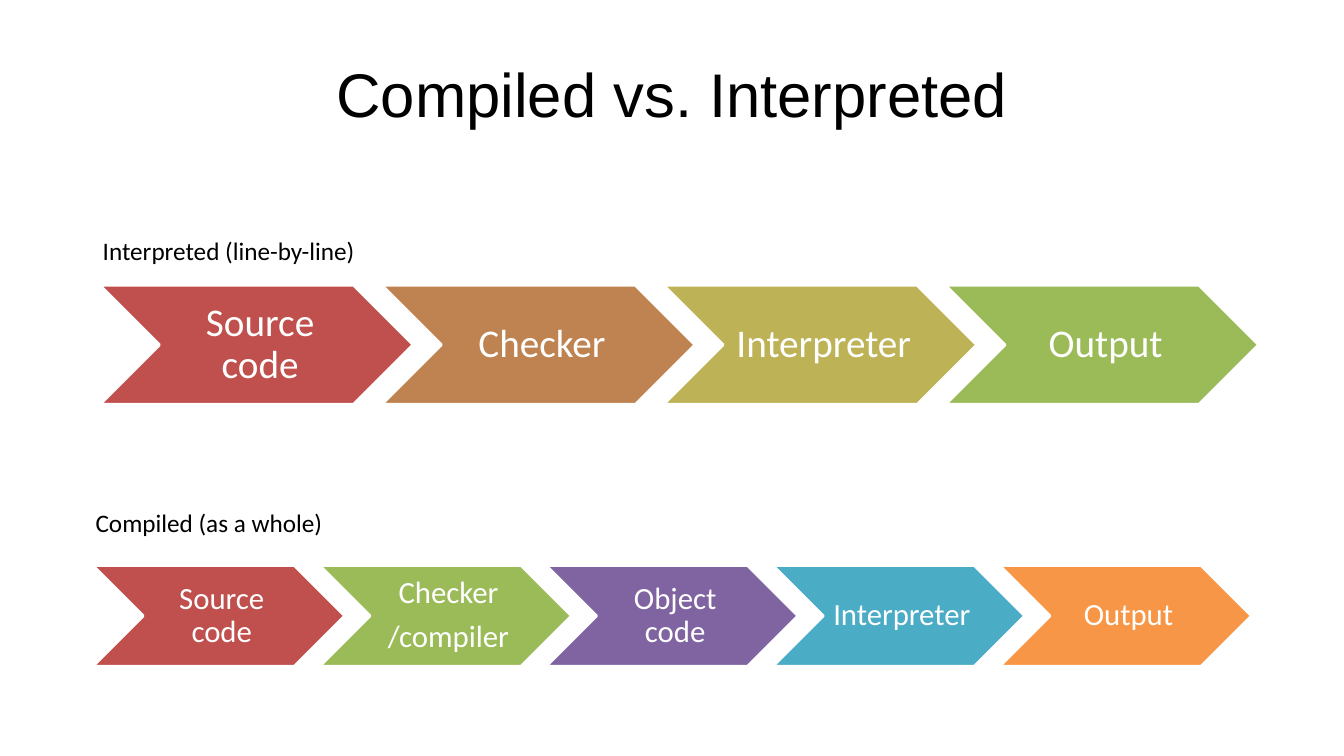
from pptx import Presentation
from pptx.dml.color import RGBColor
from pptx.enum.shapes import MSO_SHAPE as Preset
from pptx.enum.text import MSO_ANCHOR as Anchor, PP_ALIGN as Align
from pptx.util import Cm, Pt


def color(hex_string):
    return RGBColor.from_string(hex_string)


def write(shape, text, size, font="Calibri", fill="000000", align=Align.LEFT,
          anchor=Anchor.TOP, insets=(0.25, 0.13, 0.25, 0.13), wrap=True,
          line_spacing=1.0, space_after=0):
    """Put text into a shape, one paragraph for each line; insets in cm."""
    frame = shape.text_frame
    frame.word_wrap = wrap
    frame.vertical_anchor = anchor
    (frame.margin_left, frame.margin_top,
     frame.margin_right, frame.margin_bottom) = map(Cm, insets)
    for index, line in enumerate(text.split("\n")):
        paragraph = frame.paragraphs[0] if index == 0 else frame.add_paragraph()
        paragraph.alignment = align
        paragraph.line_spacing = line_spacing
        paragraph.space_after = Pt(space_after)
        run = paragraph.add_run()
        run.text = line
        run.font.name = font
        run.font.size = Pt(size)
        run.font.color.rgb = color(fill)


def add_text(slide, left, top, width, height, text, **text_format):
    box = slide.shapes.add_textbox(Cm(left), Cm(top), Cm(width), Cm(height))
    write(box, text, **text_format)


def add_title(slide, left, top, width, height, text):
    add_text(slide, left, top, width, height, text, size=44, font="Arial",
             align=Align.CENTER, anchor=Anchor.MIDDLE,
             insets=(0.3, 0.15, 0.3, 0.15))


def add_process(slide, left, top, width, height, label, label_rise, steps,
                size, insets):
    """Draw a labelled row of chevrons, each overlapping the last by a tenth."""
    add_text(slide, left - 0.18, top - label_rise, 7, 1.02, label,
             size=18, wrap=False)
    step_width = width / (0.9 * len(steps) + 0.1)
    for index, (text, fill) in enumerate(steps):
        chevron = slide.shapes.add_shape(
            Preset.CHEVRON, Cm(left + index * 0.9 * step_width), Cm(top),
            Cm(step_width), Cm(height))
        chevron.shadow.inherit = False
        chevron.fill.solid()
        chevron.fill.fore_color.rgb = color(fill)
        chevron.line.color.rgb = color("FFFFFF")
        chevron.line.width = Pt(2)
        write(chevron, text, size=size, fill="FFFFFF", align=Align.CENTER,
              anchor=Anchor.MIDDLE, insets=insets, line_spacing=0.9,
              space_after=0.35 * size)


presentation = Presentation()
presentation.slide_width = Cm(33.87)
presentation.slide_height = Cm(19.05)
slide = presentation.slides.add_slide(presentation.slide_layouts[6])

add_title(slide, 1.7, 0.76, 30.48, 3.18, "Compiled vs. Interpreted")

# Interpreted: four steps
add_process(slide, 2.52, 7.19, 29.2, 3, "Interpreted (line-by-line)", 1.38,
            [("Source code", "C0504D"), ("Checker", "BE8351"),
             ("Interpreter", "BDB255"), ("Output", "9BBB59")],
            size=28, insets=(0.28, 0.1, 0.1, 0.1))

# Compiled: five steps
add_process(slide, 2.34, 14.25, 29.2, 2.54, "Compiled (as a whole)", 1.6,
            [("Source code", "C0504D"), ("Checker\n/compiler", "9BBB59"),
             ("Object code", "8064A2"), ("Interpreter", "4BACC6"),
             ("Output", "F79646")],
            size=22, insets=(0.23, 0.08, 0.08, 0.08))

presentation.save("out.pptx")
